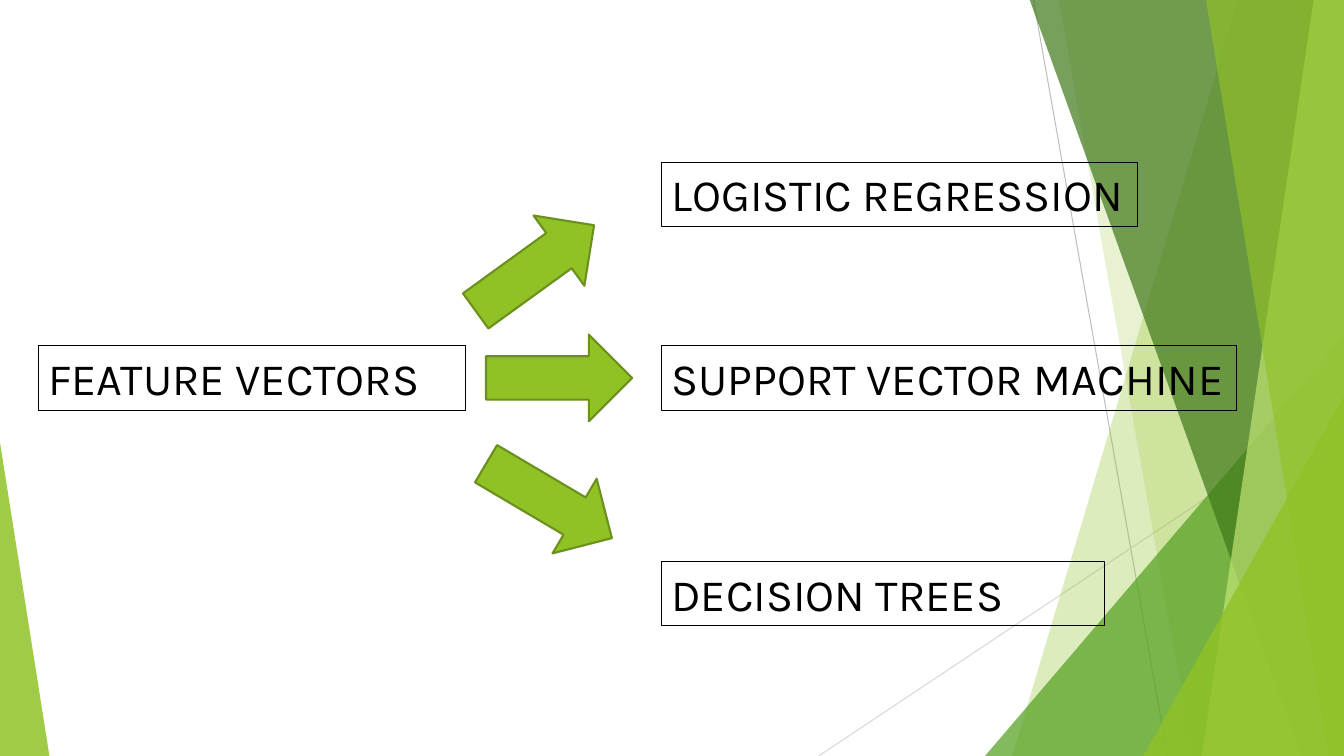
import pptx
import pptx.dml.color
import pptx.enum.shapes
import pptx.enum.text
import pptx.oxml
import pptx.oxml.ns
import pptx.util

Inches = pptx.util.Inches
Pt = pptx.util.Pt
RGBColor = pptx.dml.color.RGBColor
MSO_SHAPE = pptx.enum.shapes.MSO_SHAPE

LIME = RGBColor(0x90, 0xC2, 0x26)
PALE_LIME = RGBColor(0xC0, 0xE4, 0x74)
GREEN = RGBColor(0x54, 0xA0, 0x21)
DARK_GREEN = RGBColor(0x3F, 0x78, 0x19)
OLIVE = RGBColor(0x6B, 0x90, 0x1C)
GREY = RGBColor(0xBF, 0xBF, 0xBF)
LIGHT_GREY = RGBColor(0xD9, 0xD9, 0xD9)
BLACK = RGBColor(0, 0, 0)

WIDTH, HEIGHT, TOP = 13.33, 7.5, -0.01

deck = pptx.Presentation()
deck.slide_width, deck.slide_height = Inches(WIDTH), Inches(HEIGHT)
slide = deck.slides.add_slide(deck.slide_layouts[6])
shapes = slide.shapes


def tint(facet, color, opacity):
    """Fill a facet with a see-through colour and no outline."""
    facet.shadow.inherit = False
    facet.line.fill.background()
    facet.fill.solid()
    facet.fill.fore_color.rgb = color
    srgb = facet.fill._xPr.find(".//" + pptx.oxml.ns.qn("a:srgbClr"))
    alpha = pptx.oxml.parse_xml(
        f'<a:alpha {pptx.oxml.ns.nsdecls("a")} val="{opacity * 1000}"/>')
    srgb.append(alpha)


# Thin background lines
for x1, y1, x2, y2, color in [
    (10.25, 0, 11.58, HEIGHT, GREY),
    (WIDTH, 4.03, 8.12, HEIGHT, LIGHT_GREY),
]:
    ray = shapes.add_connector(
        pptx.enum.shapes.MSO_CONNECTOR.STRAIGHT,
        Inches(x1), Inches(y1), Inches(x2), Inches(y2))
    ray.line.color.rgb = color
    ray.line.width = Pt(0.75)
    ray._element.spPr.append(pptx.oxml.parse_xml(
        f'<a:effectLst {pptx.oxml.ns.nsdecls("a")}/>'))

# Facets from back to front: bands as (top x, bottom x), reaching the right edge;
# triangles as (left, top, width, apex), standing on the bottom edge
for outline, color, opacity in [
    ((12.28, 10.04), LIME, 30),
    ((10.5, 11.83), LIME, 20),
    ((9.77, 3.33, 3.56, 1), GREEN, 72),
    ((10.21, 12.91), DARK_GREEN, 70),
    ((13.03, 11.92), PALE_LIME, 70),
    ((11.96, 13.18), LIME, 65),
    ((11.34, 3.93, 1.99, 1), LIME, 80),
    ((0, 4.39, 0.49, 0), LIME, 85),
]:
    if len(outline) == 2:
        top_x, bottom_x = outline
        band = shapes.build_freeform(Inches(top_x), Inches(TOP))
        band.add_line_segments([
            (Inches(x), Inches(y))
            for x, y in [(WIDTH, TOP), (WIDTH, HEIGHT), (bottom_x, HEIGHT)]])
        facet = band.convert_to_shape()
    else:
        left, top, width, apex = outline
        facet = shapes.add_shape(
            MSO_SHAPE.ISOSCELES_TRIANGLE, Inches(left), Inches(top),
            Inches(width), Inches(HEIGHT - top))
        facet.adjustments[0] = apex
    tint(facet, color, opacity)

# Input and the three models it feeds
font_format = {"name": "Karla", "size": Pt(32)}
for label, left, top, width in [
    ("FEATURE VECTORS", 0.38, 3.43, 4.24),
    ("LOGISTIC REGRESSION", 6.56, 1.61, 4.72),
    ("SUPPORT VECTOR MACHINE", 6.56, 3.43, 5.7),
    ("DECISION TREES", 6.56, 5.57, 4.4),
]:
    stage = shapes.add_textbox(
        Inches(left), Inches(top), Inches(width), Inches(0.64))
    stage.line.color.rgb = BLACK
    stage.line.width = Pt(0.75)
    frame = stage.text_frame
    frame.word_wrap = True
    frame.auto_size = pptx.enum.text.MSO_AUTO_SIZE.SHAPE_TO_FIT_TEXT
    wording = frame.paragraphs[0].add_run()
    wording.text = label
    for attribute, value in font_format.items():
        setattr(wording.font, attribute, value)
    wording.font.color.rgb = BLACK

# Arrows from the input to each model
for left, top, angle in [(4.58, 2.23, 324.1), (4.82, 3.32, 0), (4.72, 4.54, 30.6)]:
    arrow = shapes.add_shape(
        MSO_SHAPE.RIGHT_ARROW, Inches(left), Inches(top), Inches(1.45), Inches(0.86))
    arrow.rotation = angle
    arrow.shadow.inherit = False
    arrow.fill.solid()
    arrow.fill.fore_color.rgb = LIME
    arrow.line.color.rgb = OLIVE
    arrow.line.width = Pt(1.5)

deck.save("out.pptx")
